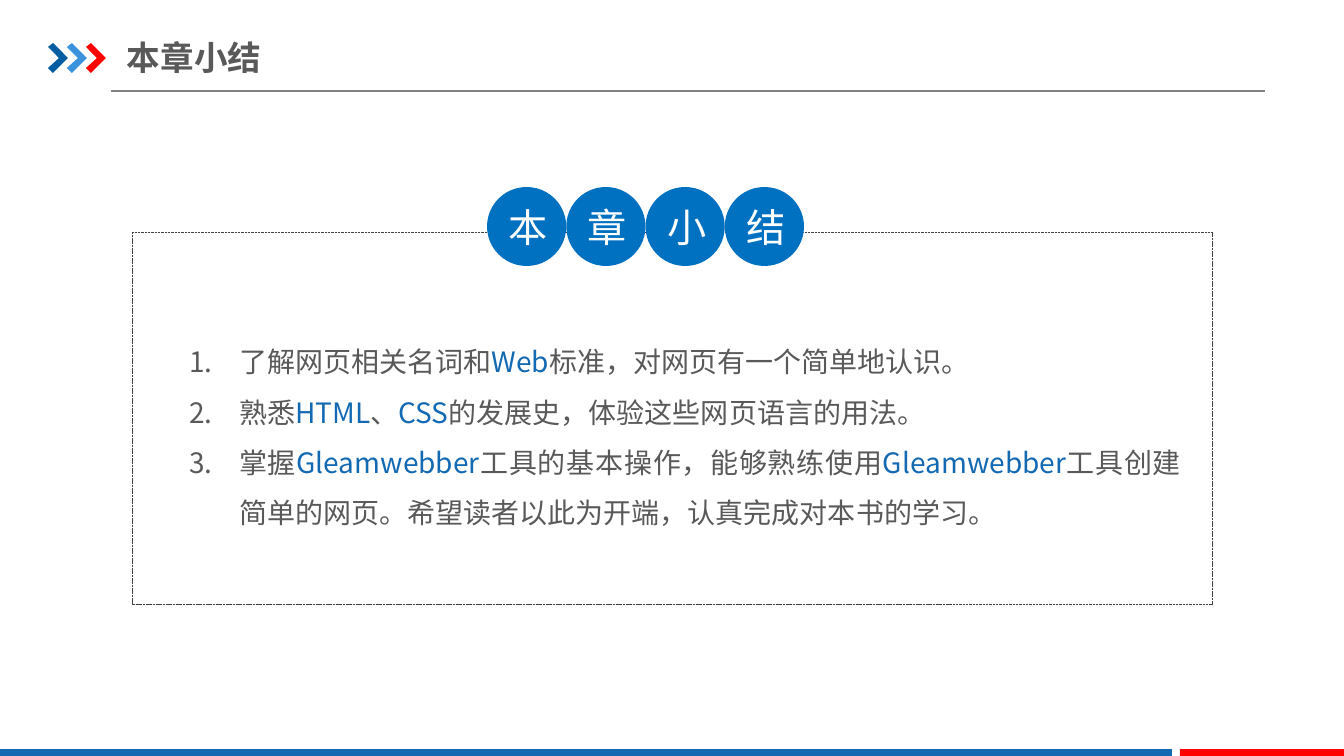
import dataclasses

import lxml.etree
import pptx
import pptx.dml.color
import pptx.enum.dml
import pptx.enum.shapes
import pptx.enum.text
import pptx.oxml.ns
import pptx.util

PX = 914400 / 100.8
SHAPES = pptx.enum.shapes.MSO_SHAPE
ALIGN = pptx.enum.text.PP_ALIGN
ANCHOR = pptx.enum.text.MSO_ANCHOR
AUTO_SIZE = pptx.enum.text.MSO_AUTO_SIZE


@dataclasses.dataclass(frozen=True)
class Theme:
    font: str = "Noto Sans CJK SC"
    text: str = "595959"
    accent: str = "1369B2"
    red: str = "FF0000"
    badge: str = "0070C0"
    white: str = "FFFFFF"
    rule: str = "808080"
    frame: str = "404040"
    chevrons: tuple = ("005DA2", "3992DB", "FF0000")
    title_size: int = 24
    badge_size: int = 28
    body_size: int = 20


THEME = Theme()
CHEVRON = ((0, 4), (5, 0), (20, 15), (5, 30), (0, 25), (11, 15))
HEADING = "本章小结"
SUMMARY = (
    (("了解网页相关名词和", False), ("Web", True),
     ("标准，对网页有一个简单地认识。", False)),
    (("熟悉", False), ("HTML", True), ("、", False), ("CSS", True),
     ("的发展史，体验这些网页语言的用法。", False)),
    (("掌握", False), ("Gleamwebber", True),
     ("工具的基本操作，能够熟练使用", False), ("Gleamwebber", True),
     ("工具创建简单的网页。希望读者以此为开端，认真完成对本书的学习。", False)),
)


def px(*lengths):
    return [pptx.util.Emu(round(length * PX)) for length in lengths]


def rgb(color):
    return pptx.dml.color.RGBColor.from_string(color)


def apply_format(target, values):
    for name, value in values.items():
        setattr(target, name, value)


def add_child(parent, tag, **attributes):
    return lxml.etree.SubElement(parent, pptx.oxml.ns.qn(tag), attributes)


def add_run(paragraph, text, size, color, bold=False):
    run = paragraph.add_run()
    run.text = text
    apply_format(run.font, {"name": THEME.font, "size": pptx.util.Pt(size), "bold": bold})
    run.font.color.rgb = rgb(color)
    add_child(run.font._element, "a:ea", typeface=THEME.font)


def paint(shape, color):
    shape.shadow.inherit = False
    shape.fill.solid()
    shape.fill.fore_color.rgb = rgb(color)
    shape.line.fill.background()


def add_header(slide, left, top, width, height):
    rule = slide.shapes.add_connector(
        pptx.enum.shapes.MSO_CONNECTOR.STRAIGHT,
        *px(left + 63, top + height, left + width, top + height))
    rule.line.color.rgb = rgb(THEME.rule)
    rule.line.width = pptx.util.Pt(0.75)
    add_child(rule._element.spPr, "a:effectLst")

    for index, color in enumerate(THEME.chevrons):
        points = [(left + 19 * index + x, top + 14 + y) for x, y in CHEVRON]
        outline = slide.shapes.build_freeform(*points[0], scale=PX)
        outline.add_line_segments(points[1:], close=True)
        paint(outline.convert_to_shape(), color)

    title = slide.shapes.add_textbox(*px(left + 79, top + 1, 625, 55)).text_frame
    apply_format(title, {"word_wrap": True, "vertical_anchor": ANCHOR.MIDDLE,
                         "margin_left": 0, "margin_right": 0})
    add_run(title.paragraphs[0], HEADING, THEME.title_size, THEME.text, True)


def add_footer(slide, left, top, width, height):
    red_width, gap = 164, 8
    blue_width = width - red_width - gap
    for bar_left, bar_width, color in ((left, blue_width, THEME.accent),
                                       (left + blue_width + gap, red_width, THEME.red)):
        paint(slide.shapes.add_shape(
            SHAPES.RECTANGLE, *px(bar_left, top, bar_width, height)), color)


def add_summary(slide, left, top, width, height):
    frame = slide.shapes.add_shape(SHAPES.ROUNDED_RECTANGLE, *px(left, top, width, height))
    frame.adjustments[0] = 0
    frame.shadow.inherit = False
    frame.fill.background()
    frame.line.color.rgb = rgb(THEME.frame)
    apply_format(frame.line, {"width": pptx.util.Pt(0.25),
                              "dash_style": pptx.enum.dml.MSO_LINE.SQUARE_DOT})

    body = slide.shapes.add_textbox(*px(left + 57, top + 96, width - 88, 204)).text_frame
    apply_format(body, {"word_wrap": True, "auto_size": AUTO_SIZE.SHAPE_TO_FIT_TEXT,
                        "margin_left": 0, "margin_right": 0,
                        "margin_top": 0, "margin_bottom": 0})
    indent = px(50)[0]
    for index, pieces in enumerate(SUMMARY):
        point = body.add_paragraph() if index else body.paragraphs[0]
        properties = point._p.get_or_add_pPr()
        properties.set("marL", str(indent))
        properties.set("indent", str(-indent))
        add_child(properties, "a:buFont", typeface="+mj-lt")
        add_child(properties, "a:buAutoNum", type="arabicPeriod")
        apply_format(point, {"alignment": ALIGN.JUSTIFY, "line_spacing": 1.5})
        for text, is_term in pieces:
            add_run(point, text, THEME.body_size, THEME.accent if is_term else THEME.text)


def add_badges(slide, left, top, width, height):
    pitch = width / len(HEADING)
    for index, character in enumerate(HEADING):
        badge = slide.shapes.add_shape(
            SHAPES.OVAL, *px(left + index * pitch, top, pitch, height))
        paint(badge, THEME.badge)
        badge.text_frame.vertical_anchor = ANCHOR.MIDDLE
        label = badge.text_frame.paragraphs[0]
        label.alignment = ALIGN.CENTER
        add_run(label, character, THEME.badge_size, THEME.white)


def main():
    deck = pptx.Presentation()
    deck.slide_width, deck.slide_height = px(1344, 756)
    slide = deck.slides.add_slide(deck.slide_layouts[6])
    add_header(slide, 48, 29, 1217, 62)
    add_footer(slide, 0, 749, 1344, 9)
    add_summary(slide, 132, 232, 1080, 372)
    add_badges(slide, 487, 187, 317, 79)
    deck.save("out.pptx")


if __name__ == "__main__":
    main()
